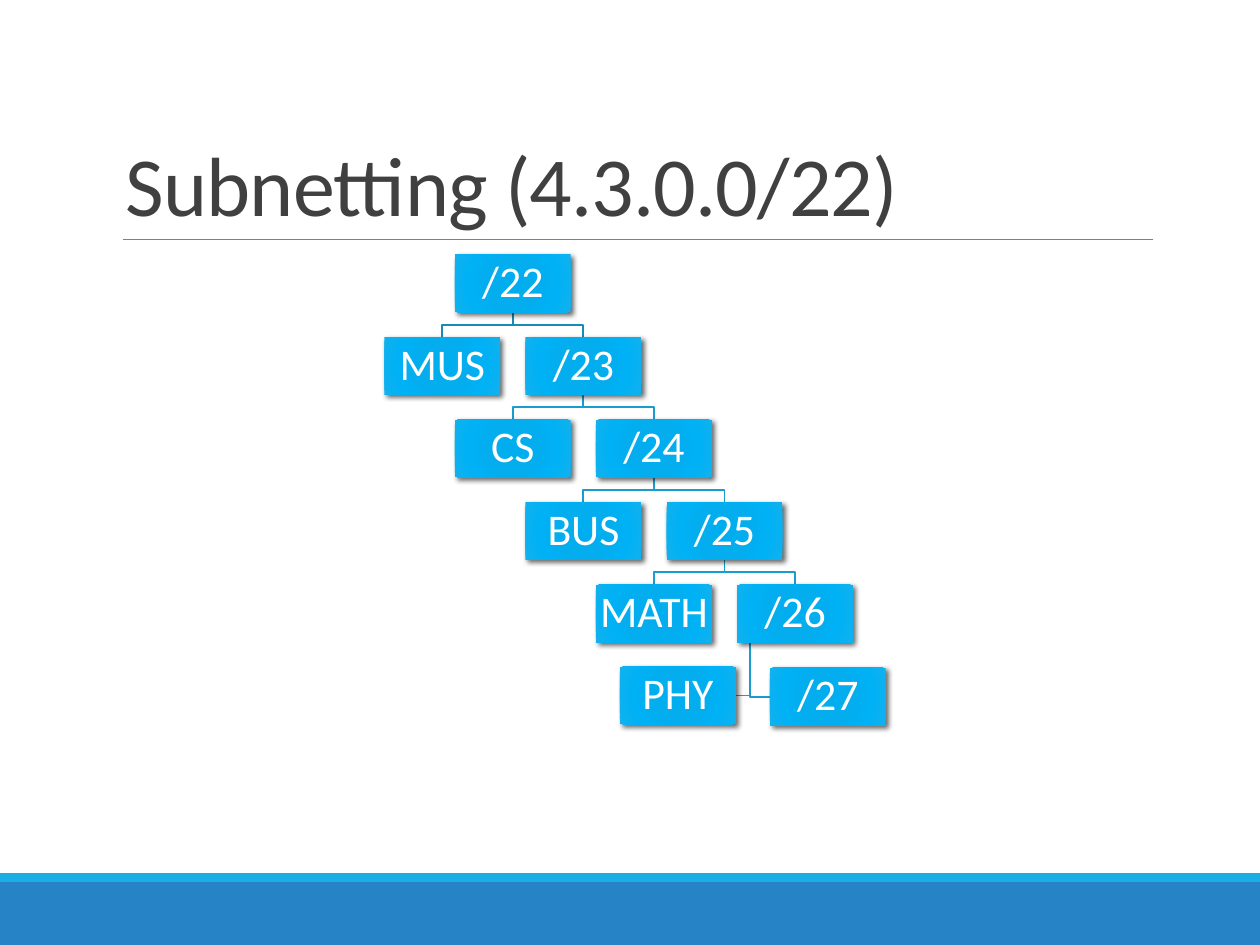
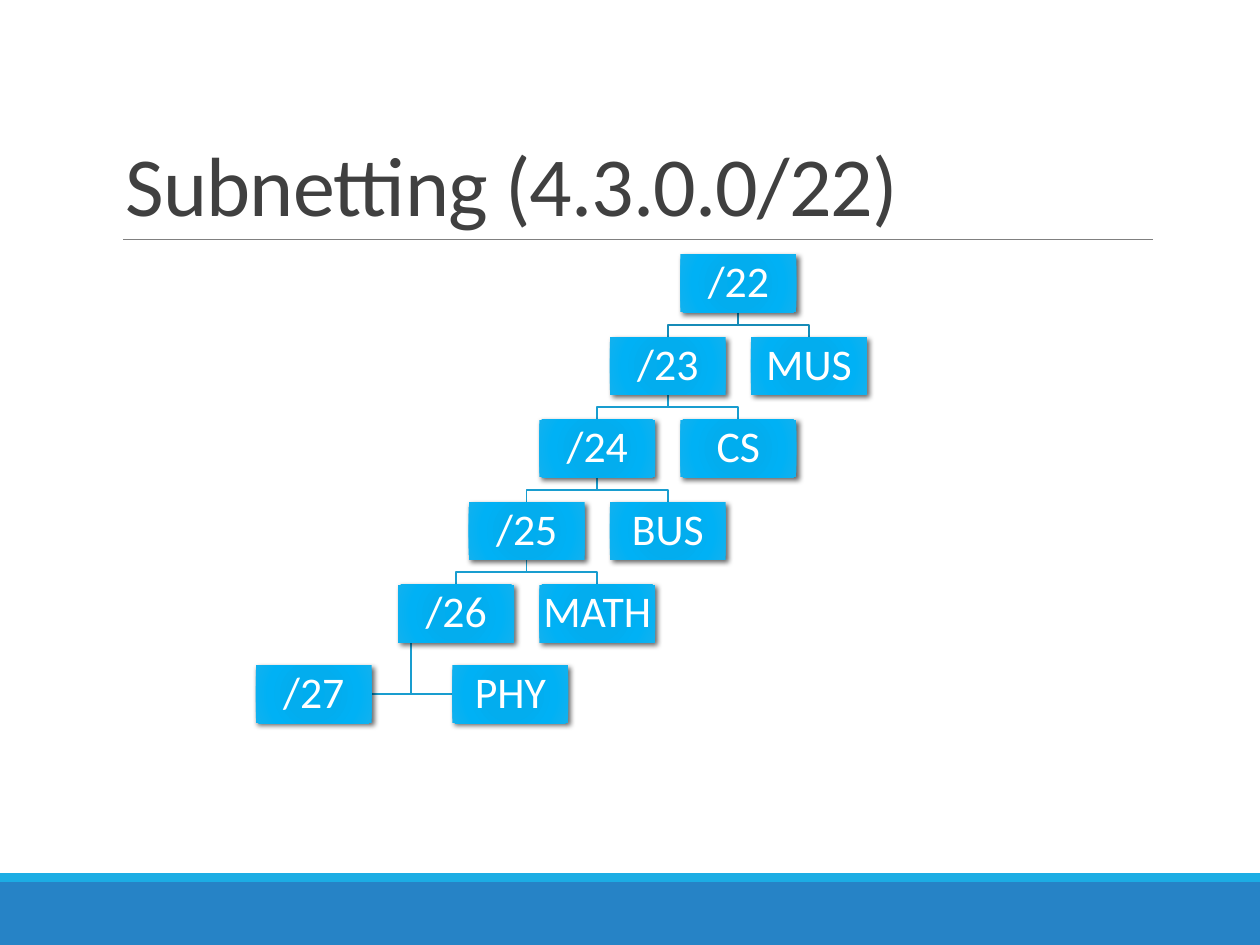
from lxml import etree
from pptx import Presentation
from pptx.dml.color import RGBColor
from pptx.enum.shapes import MSO_CONNECTOR, MSO_SHAPE
from pptx.enum.text import MSO_ANCHOR, PP_ALIGN
from pptx.oxml import parse_xml
from pptx.oxml.ns import nsdecls, qn
from pptx.util import Inches, Pt

TITLE = "Subnetting (4.3.0.0/22)"
PREFIXES = ["/22", "/23", "/24", "/25", "/26"]
DEPARTMENTS = ["MUS", "CS", "BUS", "MATH"]
# direction: 1 when the prefixes step to the right, -1 when to the left
# last_split: label, left and top of the two boxes under the last prefix
TREES = [
    {"direction": 1, "root_center": 4.07,
     "last_split": [("PHY", 4.92, 5.29), ("/27", 6.11, 5.30)]},
    {"direction": -1, "root_center": 5.86,
     "last_split": [("/27", 2.03, 5.28), ("PHY", 3.59, 5.28)]},
]

SLIDE_WIDTH, SLIDE_HEIGHT = 10, 7.5
BOX_WIDTH, BOX_HEIGHT = 0.92, 0.46
TREE_TOP = 2.02
COLUMN_STEP = 0.56
ROW_STEP = 2.62 / 4
STEM_INSET = 0.1

FONT = "Calibri"
WHITE = RGBColor(0xFF, 0xFF, 0xFF)
TITLE_GREY = RGBColor(0x40, 0x40, 0x40)
RULE_GREY = RGBColor(0x80, 0x80, 0x80)
BAND_BLUE = RGBColor(0x26, 0x83, 0xC6)
STRIPE_BLUE = RGBColor(0x1C, 0xAD, 0xE4)
ROOT_LINE = RGBColor(0x16, 0x8B, 0xB7)
BRANCH_LINE = RGBColor(0x19, 0x9D, 0xCF)
BOX_GRADIENT = [
    (0, RGBColor(0x00, 0xAD, 0xEF)),
    (34, RGBColor(0x03, 0xAD, 0xEE)),
    (70, RGBColor(0x00, 0xB1, 0xF5)),
    (100, RGBColor(0x12, 0xB1, 0xEE)),
]

BANDS = [(7, 0.5, BAND_BLUE), (6.93, 0.07, STRIPE_BLUE)]
TITLE_FORMAT = {"size": Pt(48), "name": FONT}
BOX_FORMAT = {"size": Pt(25), "name": FONT}
TITLE_FRAME = {"word_wrap": True, "vertical_anchor": MSO_ANCHOR.BOTTOM}
BOX_FRAME = {
    "word_wrap": False, "vertical_anchor": MSO_ANCHOR.MIDDLE,
    **{f"margin_{side}": Inches(0.02) for side in ("left", "top", "right", "bottom")},
}


def set_attributes(target, values):
    for name, value in values.items():
        setattr(target, name, value)


def write_text(shape, text, frame_format, font_format, color, line_spacing, alignment):
    set_attributes(shape.text_frame, frame_format)
    paragraph = shape.text_frame.paragraphs[0]
    set_attributes(paragraph, {"line_spacing": line_spacing, "alignment": alignment})
    run = paragraph.add_run()
    run.text = text
    set_attributes(run.font, font_format)
    run.font.color.rgb = color
    return run


def add_rectangle(slide, left, top, width, height):
    rectangle = slide.shapes.add_shape(
        MSO_SHAPE.RECTANGLE, *map(Inches, (left, top, width, height)))
    rectangle.shadow.inherit = False
    rectangle.line.fill.background()
    return rectangle


def add_frame(slide):
    """Draw the footer bands, the title and the rule below it."""
    for top, height, color in BANDS:
        band = add_rectangle(slide, 0, top, SLIDE_WIDTH, height)
        band.fill.solid()
        band.fill.fore_color.rgb = color
    rule = slide.shapes.add_connector(
        MSO_CONNECTOR.STRAIGHT, *map(Inches, (0.98, 1.9, 9.15, 1.9)))
    rule.line.color.rgb = RULE_GREY
    rule.line.width = Pt(0.5)
    etree.SubElement(rule._element.spPr, qn("a:effectLst"))
    title = slide.shapes.add_textbox(*map(Inches, (0.9, 0.31, 8.25, 1.59)))
    run = write_text(title, TITLE, TITLE_FRAME, TITLE_FORMAT, TITLE_GREY, 0.85, PP_ALIGN.LEFT)
    run._r.get_or_add_rPr().set("spc", "-50")


def add_box(slide, label, left, top):
    """Draw a tree node with a radial gradient and a soft shadow."""
    box = add_rectangle(slide, left, top, BOX_WIDTH, BOX_HEIGHT)
    properties = box._element.spPr
    stops = "".join(
        f'<a:gs pos="{position * 1000}"><a:srgbClr val="{color}"/></a:gs>'
        for position, color in BOX_GRADIENT)
    properties.find(qn("a:prstGeom")).addnext(parse_xml(
        f'<a:gradFill {nsdecls("a")} rotWithShape="1"><a:gsLst>{stops}</a:gsLst>'
        '<a:path path="circle"><a:fillToRect l="100000" t="100000" r="100000" b="100000"/>'
        '</a:path></a:gradFill>'))
    properties.find(qn("a:effectLst")).append(parse_xml(
        f'<a:outerShdw {nsdecls("a")} blurRad="{Pt(3)}" dist="{Pt(2)}" dir="2700000" '
        'algn="br" rotWithShape="0"><a:srgbClr val="000000"><a:alpha val="60000"/>'
        '</a:srgbClr></a:outerShdw>'))
    write_text(box, label, BOX_FRAME, BOX_FORMAT, WHITE, 0.9, PP_ALIGN.CENTER)


def add_branch(slide, points, color):
    """Draw an open line through the points, given in inches."""
    start, *rest = [(Inches(x), Inches(y)) for x, y in points]
    builder = slide.shapes.build_freeform(*start)
    builder.add_line_segments(rest, close=False)
    branch = builder.convert_to_shape()
    branch.shadow.inherit = False
    branch.fill.background()
    branch.line.color.rgb = color
    branch.line.width = Pt(1)


def add_tree(slide, direction, root_center, last_split):
    def center(step):
        return root_center + direction * step * COLUMN_STEP

    def row_top(level):
        return TREE_TOP + level * ROW_STEP

    nodes = [(label, center(level), level) for level, label in enumerate(PREFIXES)]
    nodes += [(label, center(level - 2), level)
              for level, label in enumerate(DEPARTMENTS, start=1)]

    for label, x, level in nodes:
        if level == 0:
            continue
        parent_x = center(level - 1)
        parent_bottom = row_top(level - 1) + BOX_HEIGHT
        middle = (parent_bottom + row_top(level)) / 2
        add_branch(slide,
                   [(parent_x, parent_bottom), (parent_x, middle),
                    (x, middle), (x, row_top(level))],
                   ROOT_LINE if level == 1 else BRANCH_LINE)

    last_level = len(PREFIXES) - 1
    stem_x = center(last_level) - BOX_WIDTH / 2 + STEM_INSET
    stem_top = row_top(last_level) + BOX_HEIGHT
    for label, left, top in last_split:
        near_side = left if left > stem_x else left + BOX_WIDTH
        middle = top + BOX_HEIGHT / 2
        add_branch(slide, [(stem_x, stem_top), (stem_x, middle), (near_side, middle)],
                   BRANCH_LINE)

    for label, x, level in nodes:
        add_box(slide, label, x - BOX_WIDTH / 2, row_top(level))
    for label, left, top in last_split:
        add_box(slide, label, left, top)


def main():
    presentation = Presentation()
    presentation.slide_width = Inches(SLIDE_WIDTH)
    presentation.slide_height = Inches(SLIDE_HEIGHT)
    for tree in TREES:
        slide = presentation.slides.add_slide(presentation.slide_layouts[6])
        add_frame(slide)
        add_tree(slide, **tree)
    presentation.save("out.pptx")


if __name__ == "__main__":
    main()
